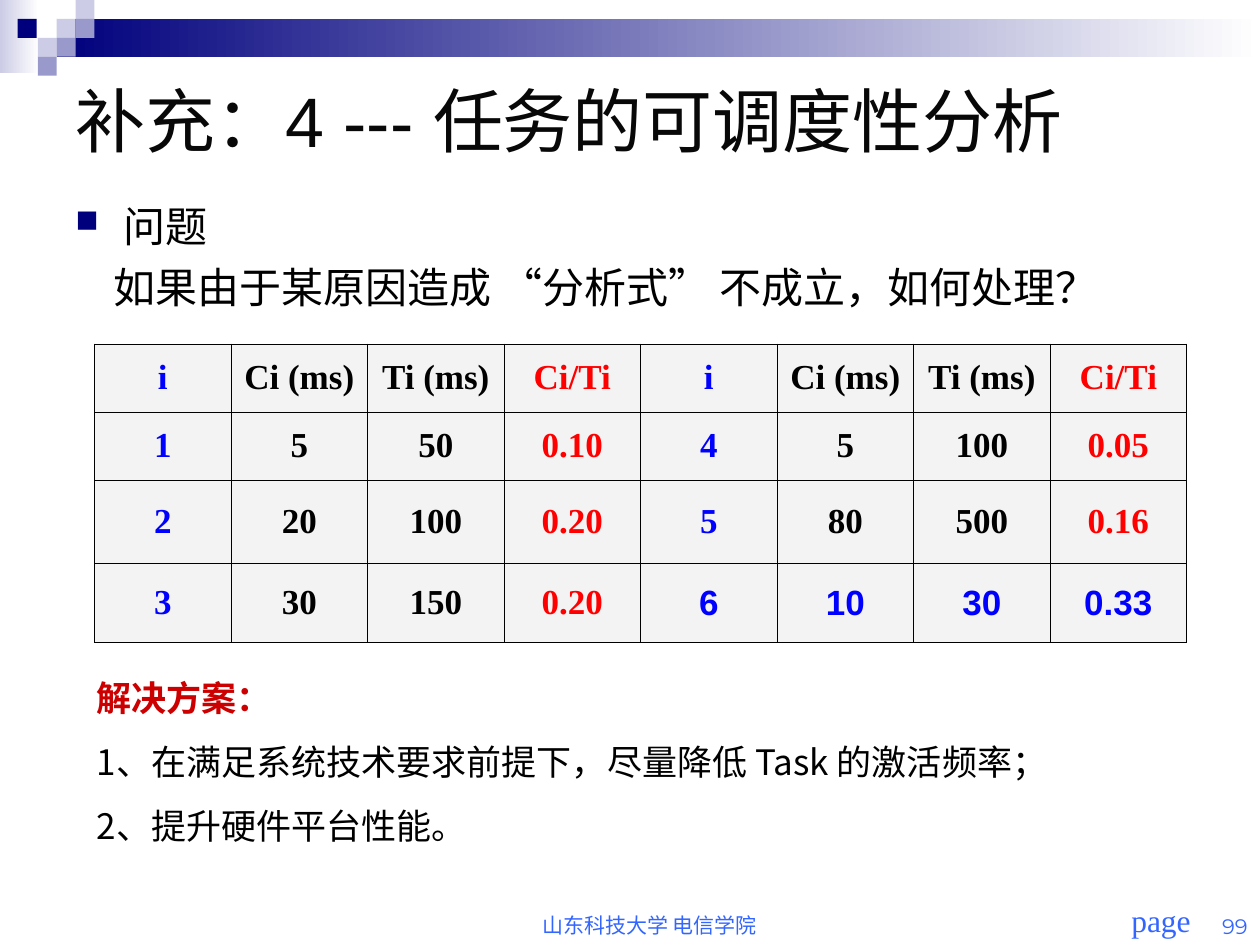
from dataclasses import dataclass

from lxml import etree
from pptx import Presentation
from pptx.dml.color import RGBColor
from pptx.enum import shapes, text
from pptx.oxml import ns
from pptx.util import Inches, Pt


@dataclass(frozen=True)
class Theme:
    navy: str = "00007D"
    lilac: str = "CCCCE6"
    violet: str = "9999CC"
    white: str = "FFFFFF"
    black: str = "000000"
    title: str = "080808"
    blue: str = "0000FF"
    red: str = "FF0000"
    heading: str = "CC0000"
    footer: str = "3366FF"
    cell: str = "F3F3F3"
    sans: str = "Arial"
    serif: str = "Times New Roman"
    chinese: str = "Noto Sans CJK SC"
    number: str = "Montserrat"
    title_size: int = 40
    body_size: int = 24
    text_size: int = 20
    label_size: int = 18
    footer_size: int = 12


theme = Theme()


def format_runs(paragraph, font, size, color, bold=False):
    for run in paragraph.runs:
        run.font.name = font
        run.font.size = Pt(size)
        run.font.bold = bold
        run.font.color.rgb = RGBColor.from_string(color)


def add_text(box, lines, anchor=text.MSO_ANCHOR.TOP):
    shape = slide.shapes.add_textbox(*map(Inches, box))
    frame = shape.text_frame
    frame.word_wrap = True
    frame.vertical_anchor = anchor
    frame.text = "\n".join(lines)
    return frame.paragraphs


presentation = Presentation()
presentation.slide_width, presentation.slide_height = Inches(10), Inches(7.5)
slide = presentation.slides.add_slide(presentation.slide_layouts[5])

# Header decoration: two gradient bars, then small squares
squares = [
    (0.45, 0.15, theme.lilac), (0.6, 0, theme.lilac), (0.6, 0.15, theme.violet),
    (0.3, 0.3, theme.lilac), (0.14, 0.15, theme.navy),
    (0.45, 0.3, theme.violet), (0.3, 0.45, theme.violet),
]
header = [
    (0, 0, 0.31, 0.58, (theme.lilac, theme.white)),
    (0.45, 0.15, 9.55, 0.3, (theme.navy, theme.white)),
] + [(left, top, 0.15, 0.15, (color,)) for left, top, color in squares]
for *box, colors in header:
    shape = slide.shapes.add_shape(shapes.MSO_SHAPE.RECTANGLE, *map(Inches, box))
    shape.shadow.inherit = False
    shape.line.fill.background()
    if len(colors) == 1:
        shape.fill.solid()
        shape.fill.fore_color.rgb = RGBColor.from_string(colors[0])
    else:
        shape.fill.gradient()
        shape.fill.gradient_angle = 0
        for position, (stop, color) in enumerate(zip(shape.fill.gradient_stops, colors)):
            stop.position = position
            stop.color.rgb = RGBColor.from_string(color)

# Title
title = slide.shapes.title
title.left, title.top, title.width, title.height = map(Inches, (0.5, 0.58, 9, 0.73))
title.text_frame.text = "补充：4 --- 任务的可调度性分析"
title.text_frame.auto_size = text.MSO_AUTO_SIZE.NONE
title.text_frame.vertical_anchor = text.MSO_ANCHOR.MIDDLE
title.text_frame.paragraphs[0].alignment = text.PP_ALIGN.LEFT
format_runs(title.text_frame.paragraphs[0], theme.sans, theme.title_size, theme.title)

# Question with a square bullet on its heading
heading, question = add_text(
    (0.5, 1.54, 9.07, 1.02),
    ["问题", "如果由于某原因造成 “分析式” 不成立，如何处理？"],
)
properties = heading._p.get_or_add_pPr()
properties.set("marL", str(Inches(0.38)))
properties.set("indent", str(Inches(-0.38)))
bullet_color = etree.SubElement(properties, ns.qn("a:buClr"))
etree.SubElement(bullet_color, ns.qn("a:srgbClr"), val=theme.navy)
etree.SubElement(properties, ns.qn("a:buSzPct"), val="75000")
etree.SubElement(properties, ns.qn("a:buChar"), char="■")
question._p.get_or_add_pPr().set("marL", str(Inches(0.3)))
question.space_before = Pt(6)
for paragraph in (heading, question):
    format_runs(paragraph, theme.sans, theme.body_size, theme.black)

# Task table: two groups of four columns
rows = [
    ["i", "Ci (ms)", "Ti (ms)", "Ci/Ti"] * 2,
    ["1", "5", "50", "0.10", "4", "5", "100", "0.05"],
    ["2", "20", "100", "0.20", "5", "80", "500", "0.16"],
    ["3", "30", "150", "0.20", "6", "10", "30", "0.33"],
]
row_heights = [0.54, 0.54, 0.66, 0.63]
column_colors = [theme.blue, theme.black, theme.black, theme.red] * 2
table = slide.shapes.add_table(
    len(rows), len(column_colors), *map(Inches, (0.75, 2.73, 8.67, 2.36))
).table
for row, height in zip(table.rows, row_heights):
    row.height = Inches(height)
for row_index, values in enumerate(rows):
    for column_index, value in enumerate(values):
        cell = table.cell(row_index, column_index)
        cell.text_frame.text = value
        cell.vertical_anchor = text.MSO_ANCHOR.MIDDLE
        paragraph = cell.text_frame.paragraphs[0]
        paragraph.alignment = text.PP_ALIGN.CENTER
        # The sixth task stands out in blue sans type
        sixth_task = row_index == 3 and column_index >= 4
        font = theme.sans if sixth_task else theme.serif
        color = theme.blue if sixth_task else column_colors[column_index]
        format_runs(paragraph, font, theme.text_size, color, bold=True)
        cell_properties = cell._tc.get_or_add_tcPr()
        for side in ("lnL", "lnR", "lnT", "lnB"):
            border = etree.SubElement(cell_properties, ns.qn(f"a:{side}"), w=str(Pt(0.45)))
            border_fill = etree.SubElement(border, ns.qn("a:solidFill"))
            etree.SubElement(border_fill, ns.qn("a:srgbClr"), val=theme.black)
        cell.fill.solid()
        cell.fill.fore_color.rgb = RGBColor.from_string(theme.cell)

# Solution
solution = add_text((0.67, 5.32, 8.74, 1.45), [
    "解决方案：",
    "1、在满足系统技术要求前提下，尽量降低 Task 的激活频率；",
    "2、提升硬件平台性能。",
])
format_runs(solution[0], theme.chinese, theme.text_size, theme.heading, bold=True)
for paragraph in solution[1:]:
    paragraph.space_before = Pt(12.5)
    format_runs(paragraph, theme.chinese, theme.text_size, theme.black)

# Footer
top, bottom = text.MSO_ANCHOR.TOP, text.MSO_ANCHOR.BOTTOM
center, right = text.PP_ALIGN.CENTER, text.PP_ALIGN.RIGHT
footer = [
    ((8.86, 7.1, 0.71, 0.4), "page", theme.serif, theme.label_size, top, center),
    ((3.5, 7.14, 3.31, 0.35), "山东科技大学 电信学院", theme.sans, theme.footer_size, bottom, center),
    ((9.41, 7.15, 0.59, 0.35), "99", theme.number, theme.footer_size, bottom, right),
]
for box, label, font, size, anchor, alignment in footer:
    paragraph = add_text(box, [label], anchor)[0]
    paragraph.alignment = alignment
    format_runs(paragraph, font, size, theme.footer)

presentation.save("out.pptx")
